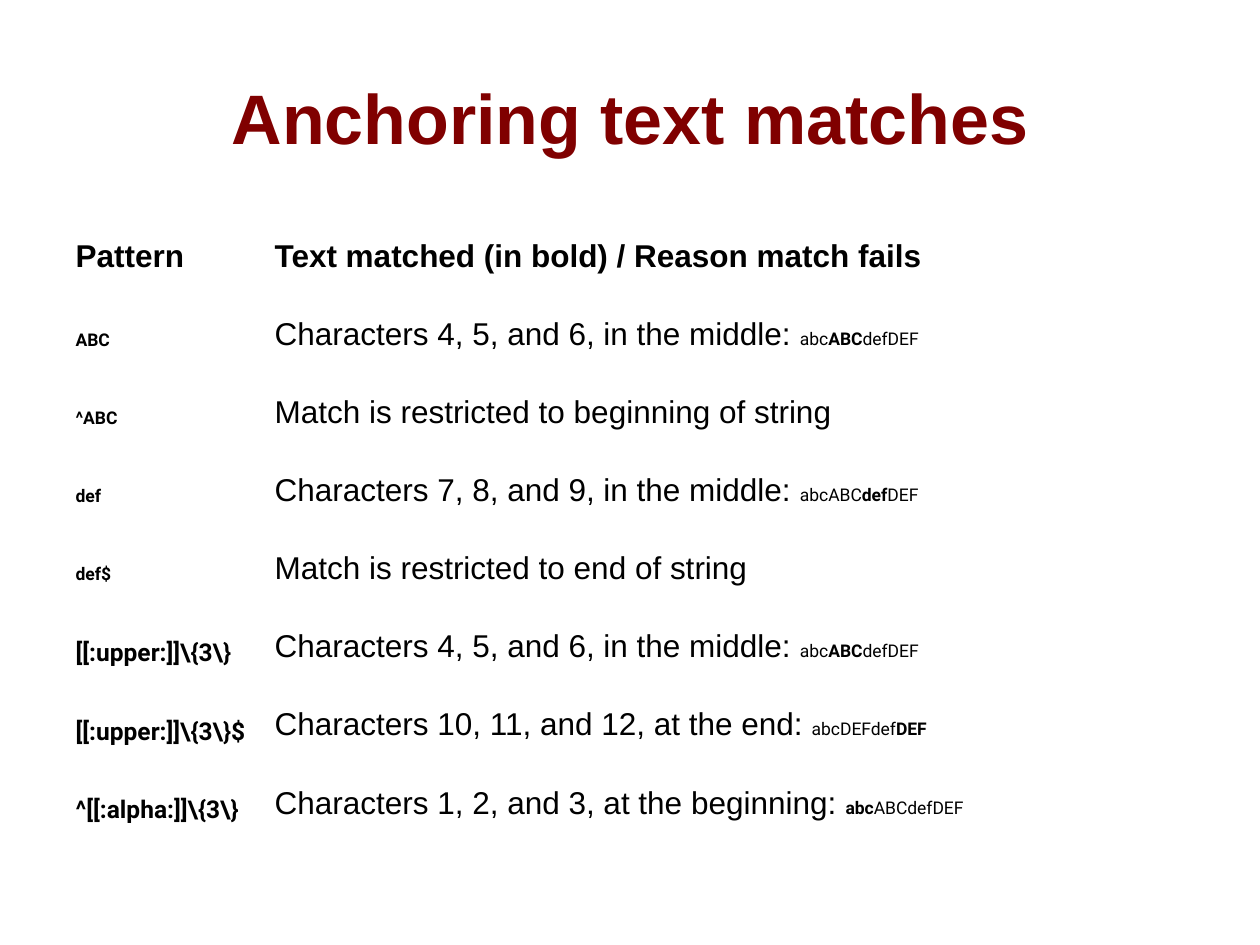
from pptx import Presentation
from pptx.dml.color import RGBColor
from pptx.enum.text import MSO_ANCHOR as Anchor, PP_ALIGN as Align
from pptx.util import Inches, Pt

WIDE, HIGH = 10, 7.5
LEFT, TOP = 0.05 * WIDE, 1.75
COLS = [1.58, 7.33]
ROW = 0.62

# Pattern, its size, lead text, then sample pieces (odd ones are bold)
rows = [
    ("ABC", 10, "Characters 4, 5, and 6, in the middle: ", ["abc", "ABC", "defDEF"]),
    ("^ABC", 10, "Match is restricted to beginning of string", []),
    ("def", 10, "Characters 7, 8, and 9, in the middle: ", ["abcABC", "def", "DEF"]),
    ("def$", 10, "Match is restricted to end of string", []),
    (r"[[:upper:]]\{3\}", 14, "Characters 4, 5, and 6, in the middle: ", ["abc", "ABC", "defDEF"]),
    (r"[[:upper:]]\{3\}$", 14, "Characters 10, 11, and 12, at the end: ", ["abcDEFdef", "DEF"]),
    (r"^[[:alpha:]]\{3\}", 14, "Characters 1, 2, and 3, at the beginning: ", ["", "abc", "ABCdefDEF"]),
]


def write(para, text, size, face="Arial", bold=False, color="000000"):
    """Add one styled run to a paragraph."""
    run = para.add_run()
    run.text = text
    font = run.font
    font.size, font.name, font.bold = Pt(size), face, bold
    font.color.rgb = RGBColor.from_string(color)


def start(cell, space, top):
    """Clear a cell's fill, set its layout and return its paragraph."""
    cell.fill.background()
    cell.vertical_anchor = Anchor.MIDDLE
    cell.margin_top = Inches(top)
    para = cell.text_frame.paragraphs[0]
    para.line_spacing = space
    return para


deck = Presentation()
deck.slide_width, deck.slide_height = Inches(WIDE), Inches(HIGH)
slide = deck.slides.add_slide(deck.slide_layouts[6])

title = slide.shapes.add_textbox(
    Inches(LEFT), Inches(0.04 * HIGH), Inches(0.9 * WIDE), Inches(1.25)
).text_frame
title.word_wrap = True
title.vertical_anchor = Anchor.MIDDLE
title.paragraphs[0].alignment = Align.CENTER
write(title.paragraphs[0], "Anchoring text matches", 40, bold=True, color="800000")

count = len(rows) + 1
table = slide.shapes.add_table(
    count, len(COLS), Inches(LEFT), Inches(TOP), Inches(sum(COLS)), Inches(count * ROW)
).table
table.first_row = table.horz_banding = False
for col, width in zip(table.columns, COLS):
    col.width = Inches(width)

for c, head in enumerate(["Pattern", "Text matched (in bold) / Reason match fails"]):
    write(start(table.cell(0, c), 0.87, 0.03), head, 18, bold=True)

for r, (pattern, size, lead, sample) in enumerate(rows, 1):
    write(start(table.cell(r, 0), 1.25, 0.05), pattern, size, "Roboto", True)
    para = start(table.cell(r, 1), 0.87, 0.03)
    write(para, lead, 18)
    for i, piece in enumerate(sample):
        if piece:
            write(para, piece, 10, "Roboto", i % 2 == 1)

deck.save("out.pptx")
